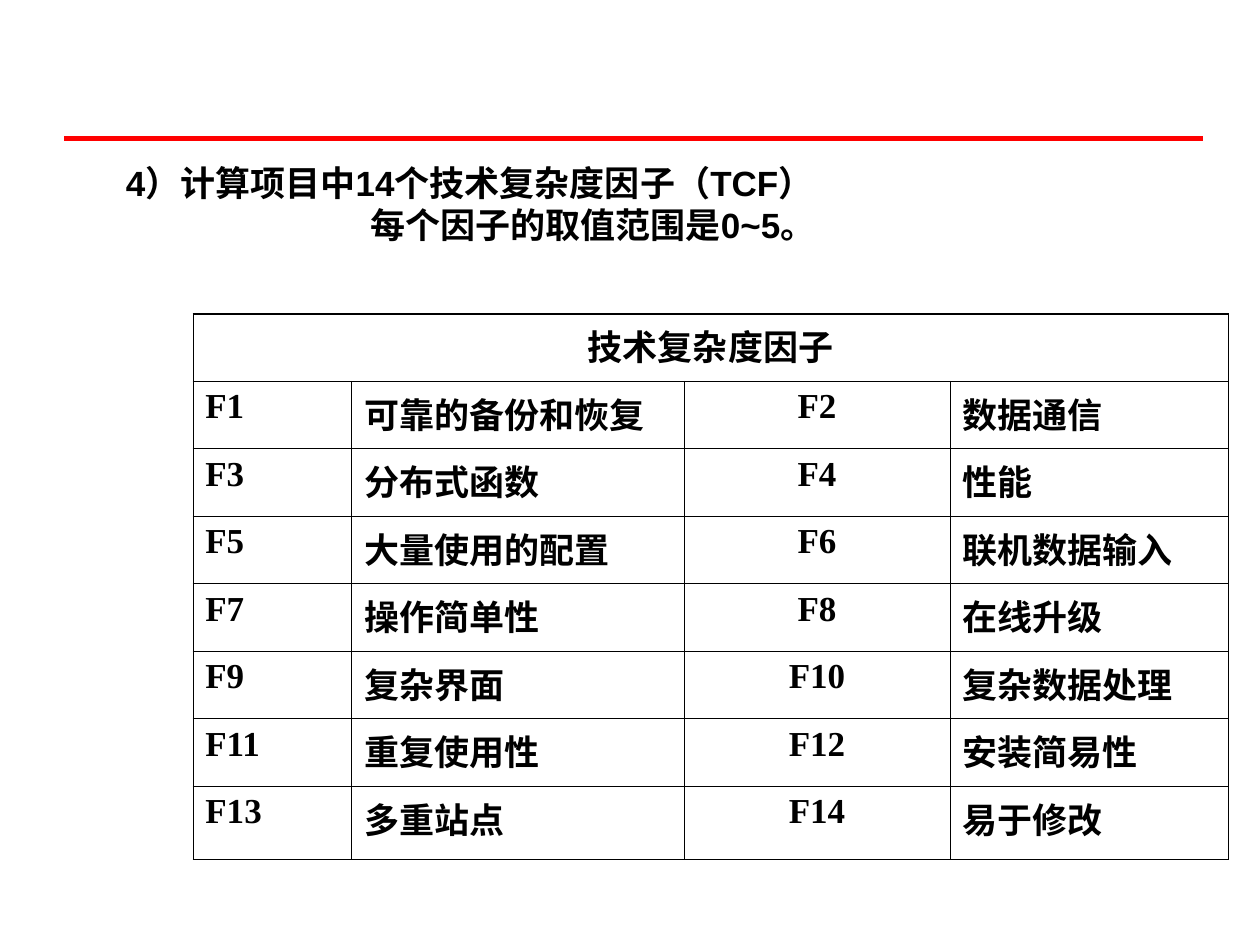
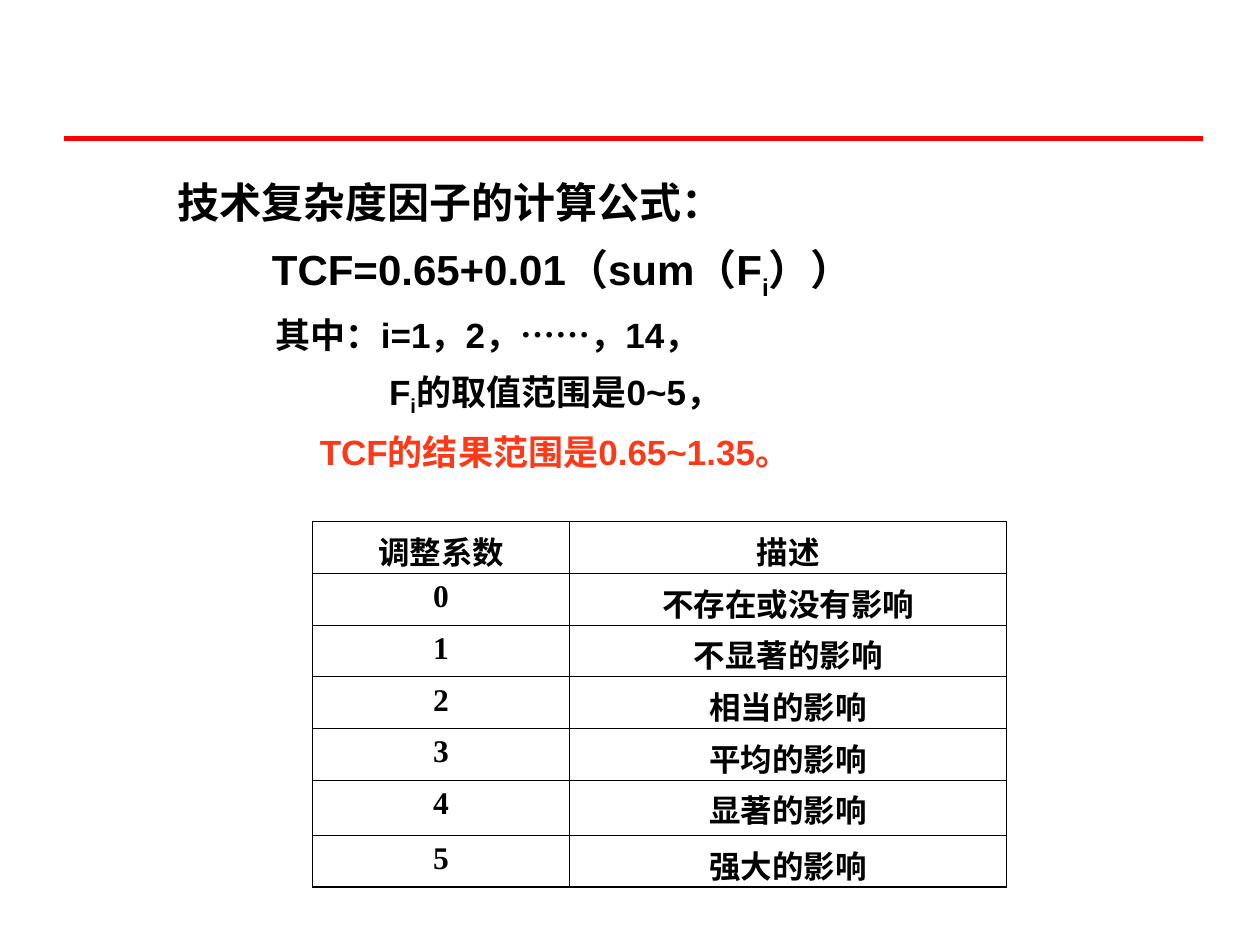
from lxml.etree import SubElement
from pptx import Presentation
from pptx.dml.color import RGBColor
from pptx.enum.shapes import MSO_CONNECTOR
from pptx.enum.text import PP_ALIGN
from pptx.oxml.ns import qn
from pptx.util import Inches, Pt

INK = {"text": "000000", "rule": "FF0000", "note": "FC3918"}
deck = Presentation()
deck.slide_width, deck.slide_height = Inches(10), Inches(7.5)
COL, ROW = deck.slide_width // 100, deck.slide_height // 75


def style(font, face, size, ink="text"):
    font.name, font.size, font.bold = face, Pt(size), True
    font.color.rgb = RGBColor.from_string(INK[ink])


def grid(page, left, top, cols, rows, data, size, mids, foot):
    frame = page.shapes.add_table(len(rows), len(cols), int(left * COL), int(top * ROW),
                                  int(sum(cols) * COL), int(sum(rows) * ROW))
    table = frame.table
    table.first_row = table.horz_banding = False
    for n, wide in enumerate(cols):
        table.columns[n].width = int(wide * COL)
    for y, high in enumerate(rows):
        table.rows[y].height = int(high * ROW)
        for x in range(len(cols)):
            cell = table.cell(y, x)
            cell.margin_bottom = int(foot * ROW)
            edges = {"a:lnL": 0.34 if x == 0 else 0.45,
                     "a:lnR": 0.34 if x == len(cols) - 1 else 0.45,
                     "a:lnT": 0.96 if y == 0 else 0.45,
                     "a:lnB": 0.96 if y == len(rows) - 1 else 0.45}
            for tag, wide in edges.items():
                line = SubElement(cell._tc.get_or_add_tcPr(), qn(tag), w=str(Pt(wide)))
                fill = SubElement(line, qn("a:solidFill"))
                SubElement(fill, qn("a:srgbClr"), val=INK["text"])
            cell.fill.background()
            if x < len(data[y]):
                cell.text_frame.text = data[y][x]
                para = cell.text_frame.paragraphs[0]
                para.alignment = PP_ALIGN.CENTER if y == 0 or x in mids else PP_ALIGN.LEFT
                style(para.runs[0].font, "Times New Roman", size)
    return table


texts = [
    {"box": (9, 12.3, 87, 8.4), "gap": 1, "lines": [
        (0, 20, "text", ["4）计算项目中14个技术复杂度因子（TCF）"]),
        (19.4, 20, "text", ["每个因子的取值范围是0~5。"])]},
    {"box": (9.8, 12.3, 84.3, 25.7), "gap": 1.3, "lines": [
        (3.3, 24, "text", ["技术复杂度因子的计算公式："]),
        (10.8, 24, "text", ["TCF=0.65+0.01（sum（F", "i", "））"]),
        (11.1, 20, "text", ["其中：i=1，2，……，14，"]),
        (20.1, 20, "text", ["F", "i", "的取值范围是0~5，"]),
        (14.6, 20, "note", ["TCF的结果范围是0.65~1.35。"])]},
]
pages = []
for spec_text in texts:
    page = deck.slides.add_slide(deck.slide_layouts[6])
    pages.append(page)
    rule = page.shapes.add_connector(MSO_CONNECTOR.STRAIGHT, int(5.1 * COL), 11 * ROW,
                                     int(95.5 * COL), 11 * ROW)
    rule.line.color.rgb = RGBColor.from_string(INK["rule"])
    rule.line.width = Pt(3)
    SubElement(rule._element.spPr, qn("a:effectLst"))
    left, top, wide, high = spec_text["box"]
    box = page.shapes.add_textbox(int(left * COL), int(top * ROW), int(wide * COL), int(high * ROW))
    frame = box.text_frame
    frame.word_wrap = True
    for n, (dent, size, ink, bits) in enumerate(spec_text["lines"]):
        para = frame.paragraphs[0] if n == 0 else frame.add_paragraph()
        para.line_spacing = spec_text["gap"]
        para._p.get_or_add_pPr().set("marL", str(int(dent * COL)))
        for bit in bits:
            run = para.add_run()
            run.text = bit
            style(run.font, "Arial", size, ink)
            if bit == "i":
                run._r.get_or_add_rPr().set("baseline", "-25000")

names = ["可靠的备份和恢复", "数据通信", "分布式函数", "性能", "大量使用的配置", "联机数据输入",
         "操作简单性", "在线升级", "复杂界面", "复杂数据处理", "重复使用性", "安装简易性",
         "多重站点", "易于修改"]
data = [["技术复杂度因子"]]
for n in range(0, len(names), 2):
    data.append([f"F{n + 1}", names[n], f"F{n + 2}", names[n + 1]])
table = grid(pages[0], 15.3, 24.9, [12.6, 26.4, 21.1, 22.1], [5.36] * 7 + [5.8],
             data, 20, [2], 0.5)
table.cell(0, 0).merge(table.cell(0, 3))

grades = ["不存在或没有影响", "不显著的影响", "相当的影响", "平均的影响", "显著的影响", "强大的影响"]
data = [["调整系数", "描述"]] + [[str(n), word] for n, word in enumerate(grades)]
grid(pages[1], 24.8, 41.4, [20.4, 34.7], [4.1] * 5 + [4.4, 4.1], data, 18, [0, 1], 0)

deck.save("out.pptx")
